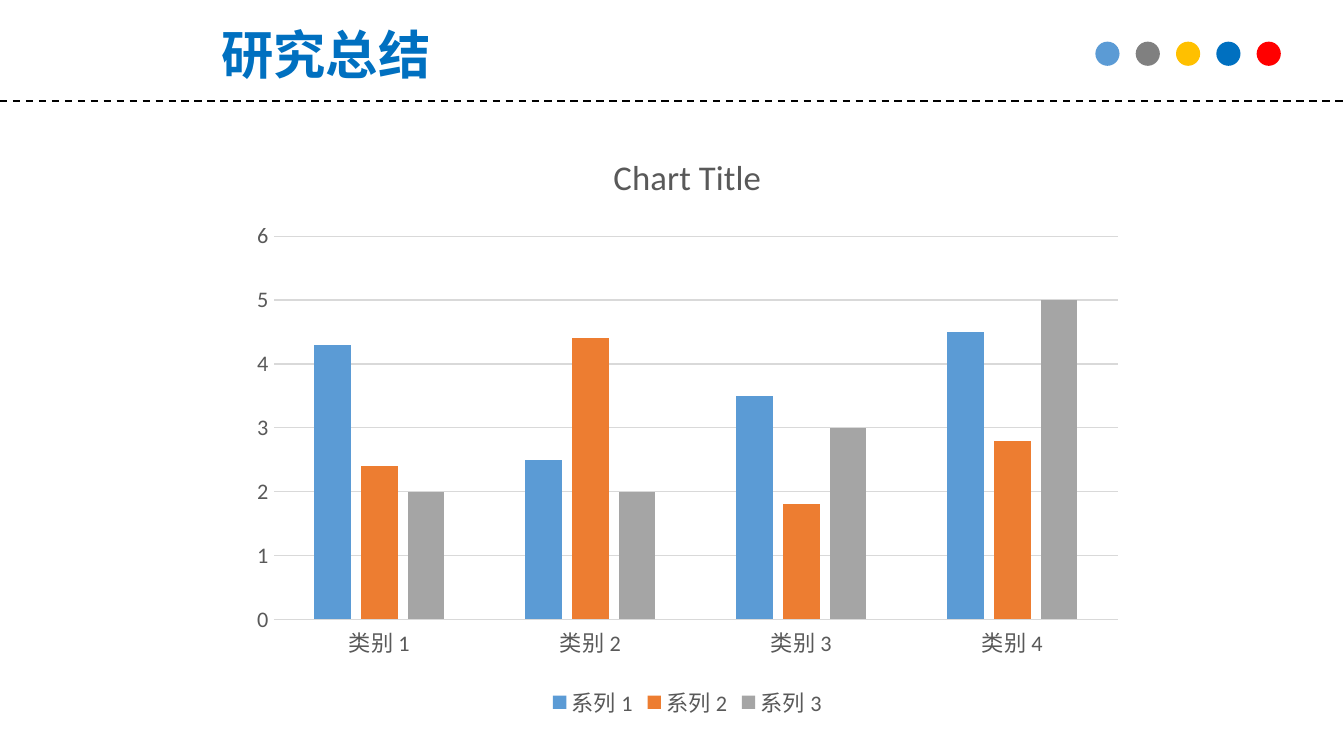
from pptx import Presentation
from pptx.chart.data import CategoryChartData
from pptx.dml.color import RGBColor
from pptx.enum.chart import XL_CHART_TYPE, XL_LEGEND_POSITION, XL_TICK_MARK
from pptx.enum.dml import MSO_LINE
from pptx.enum.shapes import MSO_CONNECTOR, MSO_SHAPE
from pptx.enum.text import PP_ALIGN
from pptx.oxml.ns import qn
from pptx.util import Inches, Pt

HEADING = "研究总结"
CHART_TITLE = "Chart Title"
CATEGORIES = ["类别 1", "类别 2", "类别 3", "类别 4"]
SERIES = [
    ("系列 1", [4.3, 2.5, 3.5, 4.5], "5B9BD5"),
    ("系列 2", [2.4, 4.4, 1.8, 2.8], "ED7D31"),
    ("系列 3", [2, 2, 3, 5], "A5A5A5"),
]
DOT_COLORS = ["5B9BD5", "808080", "FFC000", "0070C0", "FF0000"]
DOT_LEFT, DOT_TOP, DOT_SIZE, DOT_PITCH = 8.15, 0.31, 0.18, 0.3

THEME = {
    "heading": {"name": "Noto Sans CJK SC", "size": 28, "bold": True, "color": "0070C0"},
    "chart_title": {"name": "Calibri", "size": 18.6, "bold": False, "color": "595959"},
    "chart_text": {"name": "Calibri", "size": 11.9, "bold": False, "color": "595959"},
    "rule": "000000",
    "grid": "D9D9D9",
}


def style_font(font, style):
    values = {"name": style["name"], "size": Pt(style["size"]), "bold": style["bold"]}
    for attribute, value in values.items():
        setattr(font, attribute, value)
    font.color.rgb = RGBColor.from_string(style["color"])


def style_line(line, color, width):
    line.color.rgb = RGBColor.from_string(color)
    line.width = Pt(width)


def add_heading(slide):
    box = slide.shapes.add_textbox(Inches(1.33), Inches(0.12), Inches(2.19), Inches(0.57))
    box.text_frame.word_wrap = True
    paragraph = box.text_frame.paragraphs[0]
    paragraph.alignment = PP_ALIGN.CENTER
    run = paragraph.add_run()
    run.text = HEADING
    style_font(run.font, THEME["heading"])
    east_asian = run.font._element.makeelement(qn("a:ea"), {"typeface": THEME["heading"]["name"]})
    run.font._element.append(east_asian)


def add_dashed_rule(slide):
    rule = slide.shapes.add_connector(
        MSO_CONNECTOR.STRAIGHT, 0, Inches(0.75), Inches(10), Inches(0.75))
    style_line(rule.line, THEME["rule"], 1)
    rule.line.dash_style = MSO_LINE.DASH
    properties = rule._element.spPr
    properties.append(properties.makeelement(qn("a:effectLst"), {}))


def add_dots(slide):
    for index, color in enumerate(DOT_COLORS):
        dot = slide.shapes.add_shape(
            MSO_SHAPE.OVAL, Inches(DOT_LEFT + index * DOT_PITCH), Inches(DOT_TOP),
            Inches(DOT_SIZE), Inches(DOT_SIZE))
        dot.shadow.inherit = False
        dot.fill.solid()
        dot.fill.fore_color.rgb = RGBColor.from_string(color)
        dot.line.fill.background()


def add_column_chart(slide):
    data = CategoryChartData()
    data.categories = CATEGORIES
    for name, values, _ in SERIES:
        data.add_series(name, values)
    chart = slide.shapes.add_chart(
        XL_CHART_TYPE.COLUMN_CLUSTERED, Inches(1.78), Inches(0.95),
        Inches(6.67), Inches(4.44), data).chart
    style_font(chart.font, THEME["chart_text"])

    chart.has_title = True
    title = chart.chart_title
    title.include_in_layout = False
    title.text_frame.text = CHART_TITLE
    style_font(title.text_frame.paragraphs[0].runs[0].font, THEME["chart_title"])

    chart.has_legend = True
    chart.legend.position = XL_LEGEND_POSITION.BOTTOM
    chart.legend.include_in_layout = False
    style_font(chart.legend.font, THEME["chart_text"])

    for axis in (chart.category_axis, chart.value_axis):
        axis.major_tick_mark = axis.minor_tick_mark = XL_TICK_MARK.NONE
        style_font(axis.tick_labels.font, THEME["chart_text"])
    style_line(chart.category_axis.format.line, THEME["grid"], 0.75)
    chart.value_axis.format.line.fill.background()
    chart.value_axis.has_major_gridlines = True
    style_line(chart.value_axis.major_gridlines.format.line, THEME["grid"], 0.75)

    plot = chart.plots[0]
    for attribute, value in {"gap_width": 219, "overlap": -27, "vary_by_categories": False}.items():
        setattr(plot, attribute, value)
    for series, (_, _, color) in zip(plot.series, SERIES):
        series.format.fill.solid()
        series.format.fill.fore_color.rgb = RGBColor.from_string(color)


def main():
    presentation = Presentation()
    presentation.slide_width = Inches(10)
    presentation.slide_height = Inches(10) * 9 // 16
    slide = presentation.slides.add_slide(presentation.slide_layouts[6])
    add_heading(slide)
    add_dashed_rule(slide)
    add_dots(slide)
    add_column_chart(slide)
    presentation.save("out.pptx")


if __name__ == "__main__":
    main()
